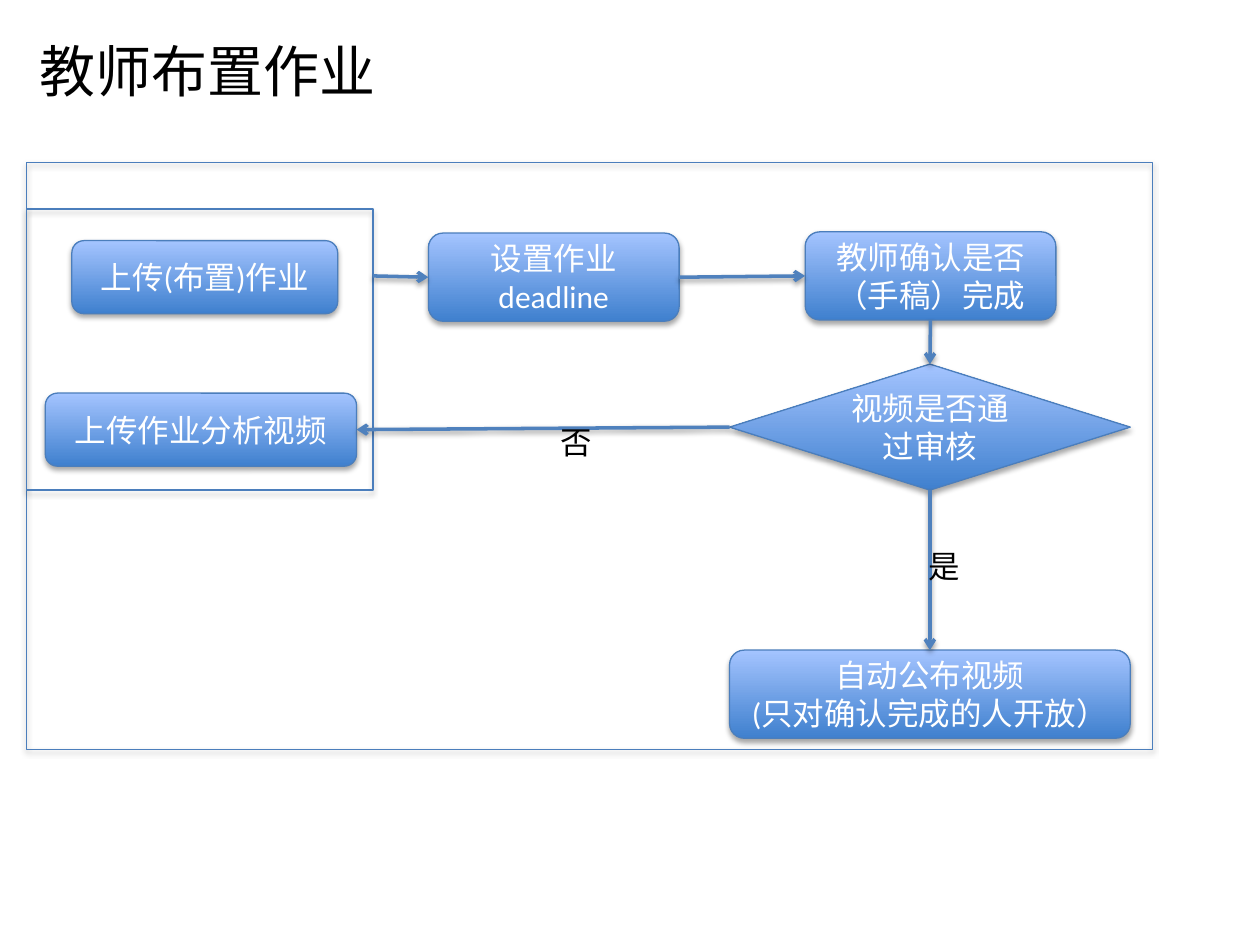
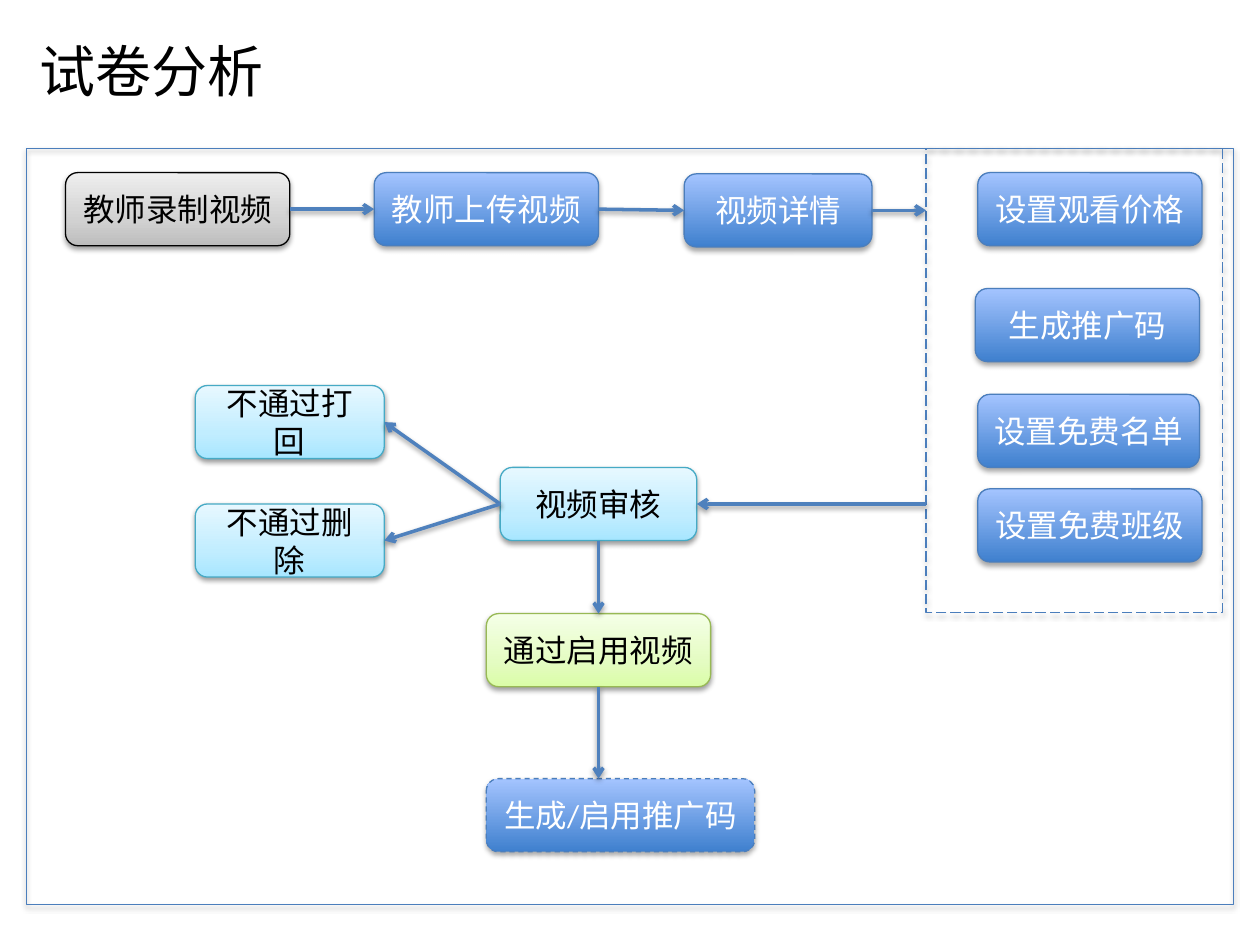
from copy import deepcopy
from lxml.etree import SubElement
from pptx import Presentation
from pptx.dml.color import RGBColor
from pptx.enum.dml import MSO_LINE
from pptx.enum.shapes import MSO_CONNECTOR, MSO_SHAPE
from pptx.enum.text import MSO_ANCHOR, MSO_AUTO_SIZE, PP_ALIGN
from pptx.oxml.ns import qn
from pptx.util import Inches, Pt

deck = Presentation()
deck.slide_width, deck.slide_height = Inches(10), Inches(7.5)
COLUMN = deck.slide_width // 100
ROW = deck.slide_height // 75
TOP, LEFT, BOTTOM, RIGHT = range(4)
ROUND, DIAMOND = MSO_SHAPE.ROUNDED_RECTANGLE, MSO_SHAPE.DIAMOND
color = RGBColor.from_string

FONT = "Calibri"
BORDER, ARROW = "4B7EBC", "4F81BD"
DEEP_SHADOW, SOFT_SHADOW = (35, 1.8), (38, 1.6)
STYLES = {
    "step": ([(0, "3F80CE"), (1, "A4C4FF")], BORDER, "FFFFFF", DEEP_SHADOW),
    "offline": ([(0, "BDBDBD"), (0.35, "D1D1D1"), (1, "EEEEEE")], "000000", "000000", SOFT_SHADOW),
    "review": ([(0, "A7E6FF"), (0.35, "C1EDFF"), (1, "E7F8FF")], "46AAC5", "000000", SOFT_SHADOW),
    "approved": ([(0, "DAFDA7"), (0.35, "E4FCC2"), (1, "F5FFE7")], "98B955", "000000", SOFT_SHADOW),
}


def write(holder, text, size=18, ink="000000", align=PP_ALIGN.LEFT,
          anchor=MSO_ANCHOR.TOP, fit=MSO_AUTO_SIZE.SHAPE_TO_FIT_TEXT):
    frame = holder.text_frame
    frame.text = text
    frame.word_wrap = True
    frame.auto_size = fit
    frame.vertical_anchor = anchor
    for paragraph in frame.paragraphs:
        paragraph.alignment = align
        font = paragraph.runs[0].font
        font.name, font.size = FONT, Pt(size)
        font.color.rgb = color(ink)


def cast_shadow(item, opacity, distance):
    effects = SubElement(item._element.spPr, qn("a:effectLst"))
    shadow = SubElement(effects, qn("a:outerShdw"), blurRad=str(Pt(3.1)),
                        dist=str(Pt(distance)), dir="5400000", rotWithShape="0")
    ink = SubElement(shadow, qn("a:srgbClr"), val="000000")
    SubElement(ink, qn("a:alpha"), val=str(opacity * 1000))


homework = {
    "title": "教师布置作业",
    "frames": [(2.1, 12.9, 89.4, 46.6, None), (2.1, 16.6, 27.5, 22.3, None)],
    "nodes": [
        ("上传(布置)作业", ROUND, "step", 5.7, 19.1, 21.1, 5.8, None),
        ("设置作业deadline", ROUND, "step", 34, 18.5, 19.9, 7, None),
        ("教师确认是否（手稿）完成", ROUND, "step", 63.9, 18.4, 19.9, 7, None),
        ("上传作业分析视频", ROUND, "step", 3.6, 31.2, 24.7, 5.8, None),
        ("视频是否通过审核", DIAMOND, "step", 57.9, 28.9, 31.8, 10, None),
        ("自动公布视频\n(只对确认完成的人开放）", ROUND, "step", 57.9, 51.6, 31.8, 7, None),
    ],
    "links": [
        ((29.6, 21.9), ("设置作业deadline", LEFT)),
        (("设置作业deadline", RIGHT), ("教师确认是否（手稿）完成", LEFT)),
        (("教师确认是否（手稿）完成", BOTTOM), ("视频是否通过审核", TOP)),
        (("视频是否通过审核", LEFT), ("上传作业分析视频", RIGHT)),
        (("视频是否通过审核", BOTTOM), ("自动公布视频\n(只对确认完成的人开放）", TOP)),
    ],
    "answers": [("否", 43.5, 33.1, 8.8, 4), ("是", 72.7, 42.9, 6.2, 4)],
}

exam = {
    "title": "试卷分析",
    "frames": [(2.1, 11.8, 95.8, 60, None), (73.5, 11.8, 23.5, 36.8, MSO_LINE.LONG_DASH)],
    "nodes": [
        ("教师录制视频", ROUND, "offline", 5.2, 13.7, 17.8, 5.8, None),
        ("教师上传视频", ROUND, "step", 29.7, 13.7, 17.8, 5.8, None),
        ("视频详情", ROUND, "step", 54.3, 13.8, 14.9, 5.8, None),
        ("设置观看价格", ROUND, "step", 77.6, 13.7, 17.8, 5.8, None),
        ("生成推广码", ROUND, "step", 77.4, 22.9, 17.8, 5.8, None),
        ("设置免费名单", ROUND, "step", 77.6, 31.3, 17.6, 5.8, None),
        ("设置免费班级", ROUND, "step", 77.6, 38.8, 17.8, 5.8, None),
        ("视频审核", ROUND, "review", 39.7, 37.1, 15.6, 5.8, None),
        ("不通过打回", ROUND, "review", 15.5, 30.6, 15, 5.8, None),
        ("不通过删除", ROUND, "review", 15.5, 40, 15, 5.8, None),
        ("通过启用视频", ROUND, "approved", 38.6, 48.7, 17.8, 5.8, None),
        ("生成/启用推广码", ROUND, "step", 38.6, 61.8, 21.3, 5.8, MSO_LINE.DASH),
    ],
    "links": [
        (("教师录制视频", RIGHT), ("教师上传视频", LEFT)),
        (("教师上传视频", RIGHT), ("视频详情", LEFT)),
        (("视频详情", RIGHT), (73.5, 16.7)),
        ((73.5, 40), ("视频审核", RIGHT)),
        (("视频审核", LEFT), ("不通过打回", RIGHT)),
        (("视频审核", LEFT), ("不通过删除", RIGHT)),
        (("视频审核", BOTTOM), ("通过启用视频", TOP)),
        (("通过启用视频", BOTTOM), (47.5, 61.8)),
    ],
    "answers": [],
}

for flow in (homework, exam):
    slide = deck.slides.add_slide(deck.slide_layouts[5])
    shapes = slide.shapes
    title = shapes.title
    title.left, title.top = int(2.1 * COLUMN), int(2.4 * ROW)
    title.width, title.height = int(60.9 * COLUMN), int(6.4 * ROW)
    write(title, flow["title"], size=32)

    for x, y, width, height, dash in flow["frames"]:
        border = shapes.add_shape(MSO_SHAPE.RECTANGLE, int(x * COLUMN), int(y * ROW),
                                  int(width * COLUMN), int(height * ROW))
        border.fill.background()
        border.line.color.rgb = color(BORDER)
        border.line.width = Pt(0.75)
        border.line.dash_style = dash
        cast_shadow(border, *DEEP_SHADOW)

    steps = {}
    for text, outline, style, x, y, width, height, dash in flow["nodes"]:
        stops, edge, ink, shadow = STYLES[style]
        step = shapes.add_shape(outline, int(x * COLUMN), int(y * ROW),
                                int(width * COLUMN), int(height * ROW))
        step.fill.gradient()
        step.fill.gradient_angle = 90
        stop_list = step._element.spPr.find(qn("a:gradFill")).find(qn("a:gsLst"))
        for extra in stops[2:]:
            stop_list.insert(1, deepcopy(stop_list[0]))
        for stop, (position, tint) in zip(step.fill.gradient_stops, stops):
            stop.position = position
            stop.color.rgb = color(tint)
        step.line.color.rgb = color(edge)
        step.line.width = Pt(0.75)
        step.line.dash_style = dash
        cast_shadow(step, *shadow)
        write(step, text, ink=ink, align=PP_ALIGN.CENTER,
              anchor=MSO_ANCHOR.MIDDLE, fit=MSO_AUTO_SIZE.NONE)
        steps[text] = step

    for start, end in flow["links"]:
        arrow = shapes.add_connector(MSO_CONNECTOR.STRAIGHT, 0, 0, 0, 0)
        if start[0] in steps:
            arrow.begin_connect(steps[start[0]], start[1])
        else:
            arrow.begin_x, arrow.begin_y = int(start[0] * COLUMN), int(start[1] * ROW)
        if end[0] in steps:
            arrow.end_connect(steps[end[0]], end[1])
        else:
            arrow.end_x, arrow.end_y = int(end[0] * COLUMN), int(end[1] * ROW)
        arrow.line.color.rgb = color(ARROW)
        arrow.line.width = Pt(2)
        SubElement(arrow._element.spPr.find(qn("a:ln")), qn("a:tailEnd"), type="arrow")
        cast_shadow(arrow, *SOFT_SHADOW)

    for text, x, y, width, height in flow["answers"]:
        answer = shapes.add_textbox(int(x * COLUMN), int(y * ROW),
                                    int(width * COLUMN), int(height * ROW))
        write(answer, text)

deck.save("out.pptx")
